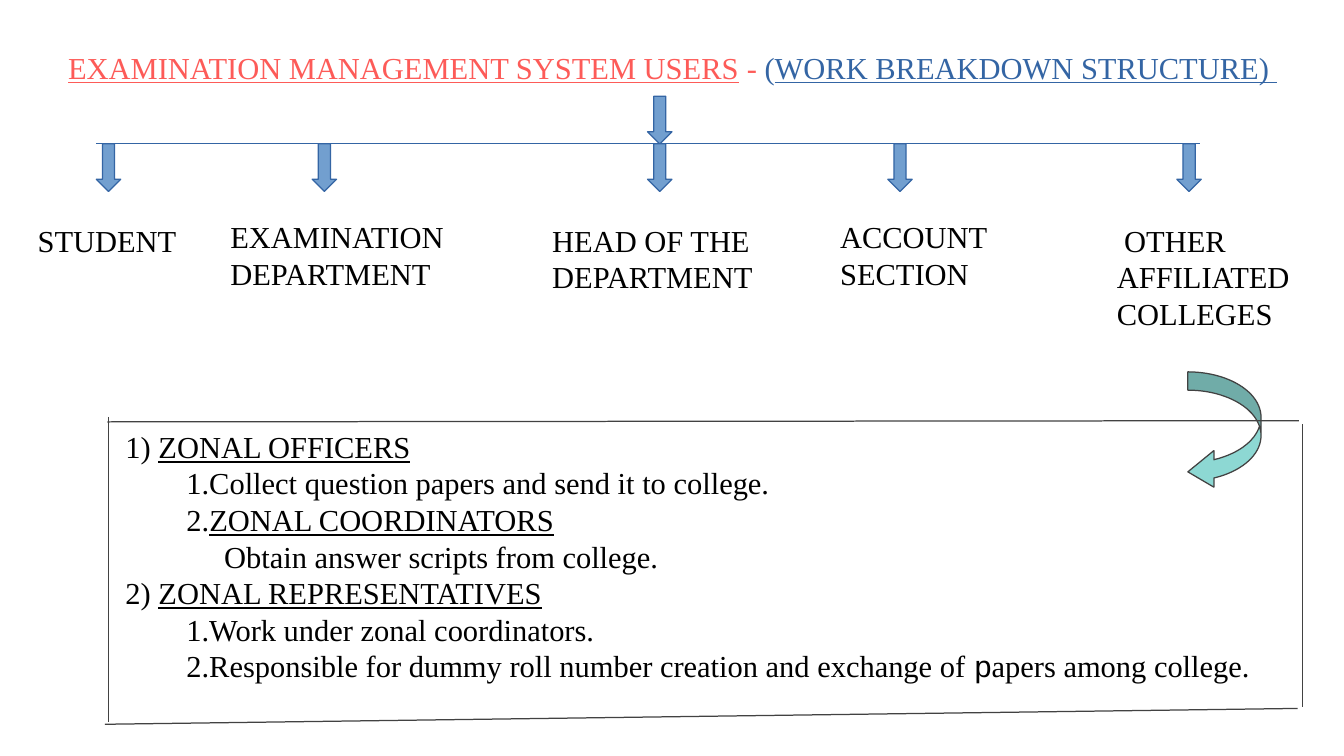
"""Build the examination management work breakdown slide."""
from typing import NamedTuple

from lxml.etree import SubElement
from pptx import Presentation
from pptx.dml.color import RGBColor
from pptx.enum.shapes import MSO_CONNECTOR, MSO_SHAPE as Preset
from pptx.oxml.ns import qn
from pptx.util import Inches, Pt

COLORS = {
    "coral": "FD5B58", "blue": "3465A4", "sky": "729FCF",
    "teal": "8DD8D3", "gray": "424242", "black": "000000",
}
SERIF = "Times New Roman"


class Span(NamedTuple):
    text: str
    underline: bool = False
    color: str = "black"
    font: str = SERIF


class Line(NamedTuple):
    spans: list[Span]
    indent: float = 0


class Box(NamedTuple):
    left: float
    top: float
    width: float
    height: float


class User(NamedTuple):
    arrow_left: float
    box: Box
    lines: list[Line]


class Rule(NamedTuple):
    x1: float
    y1: float
    x2: float
    y2: float
    color: str = "gray"


def rgb(name: str) -> RGBColor:
    return RGBColor.from_string(COLORS[name])


def plain(text: str, indent: float = 0) -> Line:
    return Line([Span(text)], indent)


def heading(number: str, title: str, indent: float = 0) -> Line:
    return Line([Span(number), Span(title, True)], indent)


def add_text(slide, box: Box, lines: list[Line]) -> None:
    frame = slide.shapes.add_textbox(*map(Inches, box)).text_frame
    frame.word_wrap = True
    for index, line in enumerate(lines):
        paragraph = frame.paragraphs[0] if index == 0 else frame.add_paragraph()
        paragraph.font.size = Pt(18)
        paragraph._p.get_or_add_pPr().set("marL", str(Inches(line.indent)))
        for span in line.spans:
            run = paragraph.add_run()
            run.text = span.text
            run.font.name = span.font
            run.font.underline = span.underline
            run.font.color.rgb = rgb(span.color)


def add_arrow(slide, preset: Preset, box: Box, fill: str, outline: str):
    arrow = slide.shapes.add_shape(preset, *map(Inches, box))
    arrow.shadow.inherit = False
    arrow.fill.solid()
    arrow.fill.fore_color.rgb = rgb(fill)
    arrow.line.color.rgb = rgb(outline)
    arrow.line.width = Pt(0.75)
    return arrow


def add_down_arrow(slide, left: float, top: float) -> None:
    add_arrow(slide, Preset.DOWN_ARROW, Box(left, top, 0.2, 0.39), "sky", "blue")


def add_rule(slide, rule: Rule) -> None:
    connector = slide.shapes.add_connector(MSO_CONNECTOR.STRAIGHT, *map(Inches, rule[:4]))
    connector.line.color.rgb = rgb(rule.color)
    connector.line.width = Pt(0.75)
    SubElement(connector._element.spPr, qn("a:effectLst"))


TITLE = Line([
    Span("EXAMINATION MANAGEMENT SYSTEM USERS", True, "coral"),
    Span(" - ", False, "coral"),
    Span("(", False, "blue"),
    Span("WORK BREAKDOWN STRUCTURE) ", True, "blue"),
], 0.25)
USERS = [
    User(0.79, Box(0.21, 1.77, 1.55, 0.65), [plain("STUDENT")]),
    User(2.56, Box(1.79, 1.74, 2.05, 0.65), [plain("EXAMINATION"), plain("DEPARTMENT")]),
    User(5.31, Box(4.43, 1.77, 1.96, 0.65), [plain("HEAD OF THE DEPARTMENT")]),
    User(7.28, Box(6.79, 1.74, 1.56, 0.65), [plain("ACCOUNT SECTION")]),
    User(9.65, Box(9.06, 1.77, 1.96, 0.97), [plain("OTHER", 0.06), plain("AFFILIATED COLLEGES")]),
]
DUTIES = [
    heading("1) ", "ZONAL OFFICERS", 0.01),
    plain("1.Collect question papers and send it to college.", 0.51),
    heading("2.", "ZONAL COORDINATORS", 0.51),
    plain("Obtain answer scripts from college.", 0.82),
    heading("2) ", "ZONAL REPRESENTATIVES", 0.01),
    plain("1.Work under zonal coordinators.", 0.51),
    Line([
        Span("2.Responsible for dummy roll number creation and exchange of"),
        Span(" p", font="Arial"),
        Span("apers among college."),
    ], 0.51),
]
DUTY_FRAME = [
    Rule(0.89, 3.42, 0.89, 5.92),
    Rule(10.68, 3.48, 10.68, 5.8),
    Rule(0.86, 5.94, 10.64, 5.81),
    Rule(0.88, 3.46, 10.65, 3.45),
]
BRANCH_TOP = 1.18

presentation = Presentation()
presentation.slide_width = Inches(11.02)
presentation.slide_height = Inches(6.2)
slide = presentation.slides.add_slide(presentation.slide_layouts[6])

add_text(slide, Box(0.21, 0.35, 10.62, 0.4), [TITLE])
add_down_arrow(slide, 5.31, 0.79)
add_rule(slide, Rule(0.79, BRANCH_TOP, 9.84, BRANCH_TOP, "blue"))
for user in USERS:
    add_down_arrow(slide, user.arrow_left, BRANCH_TOP)
    add_text(slide, user.box, user.lines)

add_text(slide, Box(0.92, 3.46, 9.69, 2.63), DUTIES)
colleges_arrow = add_arrow(
    slide, Preset.CURVED_LEFT_ARROW, Box(9.74, 3.05, 0.6, 0.97), "teal", "gray")
for index, ratio in enumerate((0.25, 0.5, 0.356)):
    colleges_arrow.adjustments[index] = ratio
for rule in DUTY_FRAME:
    add_rule(slide, rule)

presentation.save("out.pptx")
